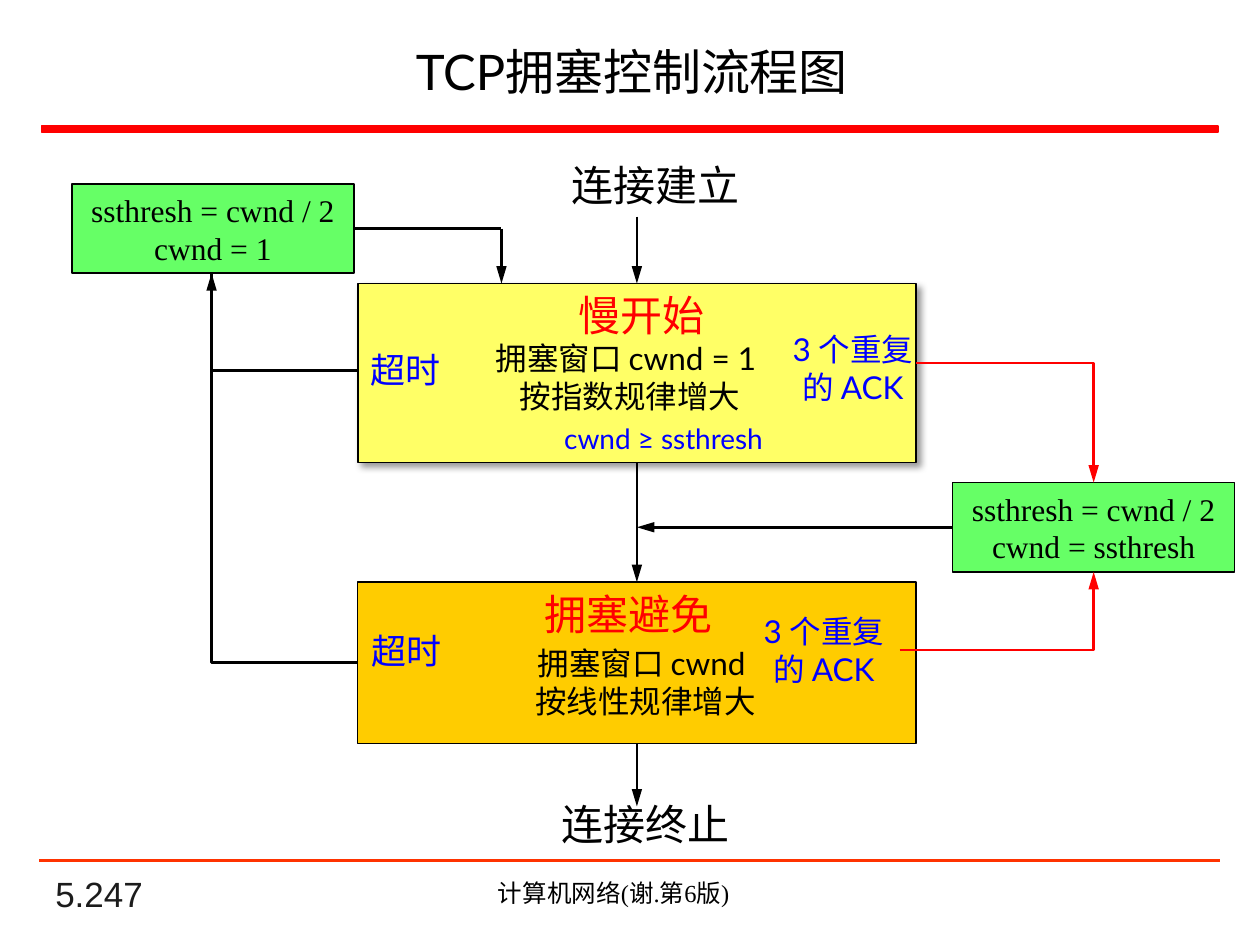
from lxml.etree import SubElement
from pptx import Presentation
from pptx.dml.color import RGBColor
from pptx.enum.shapes import MSO_CONNECTOR, MSO_SHAPE
from pptx.enum.text import MSO_ANCHOR, PP_ALIGN
from pptx.oxml.ns import qn
from pptx.util import Inches, Pt

COLS, ROWS = 100, 75
WIDE, HIGH = Inches(10), Inches(7.5)
TOP, LEFT, BASE, RIGHT = range(4)
BLACK, RED, BLUE, GREEN = "000000", "FF0000", "0000FF", "66FF66"
SANS, SERIF = "Lato", "Times New Roman"
MID = 50.55


def hue(code):
    return RGBColor.from_string(code)


def col(num):
    return round(WIDE * num / COLS)


def row(num):
    return round(HIGH * num / ROWS)


def area(x, y, w, h):
    return col(x), row(y), col(w), row(h)


def write(frame, lines, size, face=SANS, ink=BLACK, align=PP_ALIGN.CENTER):
    frame.text = "\n".join(lines)
    for para in frame.paragraphs:
        para.alignment = align
        para.font.size = Pt(size)
        para.font.name = face
        para.font.color.rgb = hue(ink)


def label(slide, place, lines, size, face=SANS, ink=BLACK,
          align=PP_ALIGN.LEFT, wrap=False, anchor=MSO_ANCHOR.TOP):
    frame = slide.shapes.add_textbox(*area(*place)).text_frame
    frame.word_wrap = wrap
    frame.vertical_anchor = anchor
    write(frame, lines, size, face, ink, align)


def box(slide, place, fill, edge=BLACK, width=1, kind=MSO_SHAPE.RECTANGLE):
    shape = slide.shapes.add_shape(kind, *area(*place))
    shape.shadow.inherit = False
    shape.fill.solid()
    shape.fill.fore_color.rgb = hue(fill)
    shape.line.color.rgb = hue(edge)
    shape.line.width = Pt(width)
    return shape


def rule(slide, place, width, lines):
    shape = box(slide, place, GREEN, width=width)
    shape.text_frame.word_wrap = True
    write(shape.text_frame, lines, 18, SERIF)
    return shape


def shade(shape):
    effect = shape._element.spPr.find(qn("a:effectLst"))
    outer = SubElement(effect, qn("a:outerShdw"), blurRad=str(Pt(4)),
                       dist=str(Pt(3)), dir="2700000", algn="tl", rotWithShape="0")
    tint = SubElement(outer, qn("a:srgbClr"), val=BLACK)
    SubElement(tint, qn("a:alpha"), val="40000")


def link(slide, start, end, ink=BLACK, head=True, bent=False):
    kind = MSO_CONNECTOR.ELBOW if bent else MSO_CONNECTOR.STRAIGHT
    line = slide.shapes.add_connector(kind, col(start[0]), row(start[1]),
                                      col(end[0]), row(end[1]))
    line.line.color.rgb = hue(ink)
    line.line.width = Pt(1.5)
    props = line._element.spPr
    if bent:
        props.find(qn("a:prstGeom")).set("prst", "bentConnector2")
    if head:
        SubElement(props.find(qn("a:ln")), qn("a:tailEnd"),
                   type="triangle", w="med", len="lg")
    SubElement(props, qn("a:effectLst"))
    return line


def frame(slide):
    title = slide.shapes.title
    title.left, title.top, title.width, title.height = area(3.9, 2.2, 92.5, 6.9)
    title.text_frame.vertical_anchor = MSO_ANCHOR.MIDDLE
    write(title.text_frame, ["TCP拥塞控制流程图"], 28)
    box(slide, (3.3, 10, 93.4, 0.5), RED, RED)
    link(slide, (3.1, 68.3), (96.8, 68.3), "FF3300", False)
    label(slide, (3.4, 69.8, 20.8, 3.3), ["5.247"], 20, "Arial", "1C1C1C",
          wrap=True, anchor=MSO_ANCHOR.BOTTOM)
    label(slide, (28.3, 69.2, 40.8, 3.4), ["计算机网络(谢.第6版)"], 14, SERIF,
          align=PP_ALIGN.CENTER, wrap=True)


def flow(slide):
    step = MSO_SHAPE.FLOWCHART_PROCESS
    slow = box(slide, (28.4, 22.5, 44.3, 14.2), "FFFF66", kind=step)
    shade(slow)
    calm = box(slide, (28.4, 46.2, 44.3, 12.8), "FFCC00", width=0.75, kind=step)
    reset = rule(slide, (5.7, 14.6, 22.4, 7.1), 1,
                 ["ssthresh = cwnd / 2", "cwnd = 1"])
    halve = rule(slide, (75.6, 38.3, 22.4, 7.1), 0.75,
                 ["ssthresh = cwnd / 2", "cwnd = ssthresh"])

    link(slide, (MID, 17.2), (MID, 22.5)).end_connect(slow, TOP)
    down = link(slide, (MID, 36.7), (MID, 46.2))
    down.begin_connect(slow, BASE)
    down.end_connect(calm, TOP)
    link(slide, (MID, 59), (MID, 64)).begin_connect(calm, BASE)
    link(slide, (75.6, 41.85), (MID, 41.85)).begin_connect(halve, LEFT)
    side = link(slide, (28.1, 18.15), (39.8, 18.15), head=False)
    side.begin_connect(reset, RIGHT)
    link(slide, (39.8, 18.15), (39.8, 22.5))

    for y, head in ((29.4, True), (52.6, False)):
        link(slide, (28.4, y), (16.8, 21.7), head=head, bent=True)
    for start, y in (((71.4, 51.6), 45.4), ((72.7, 28.8), 38.3)):
        link(slide, start, (86.8, y), RED, bent=True)


def words(slide):
    for x, y, w, text, ink in ((44.4, 12.2, 15.6, "连接建立", BLACK),
                               (43.6, 62.9, 15.6, "连接终止", BLACK),
                               (44.9, 22.5, 12.2, "慢开始", RED),
                               (42.2, 46.2, 15.6, "拥塞避免", RED)):
        label(slide, (x, y, w, 5), [text], 24, ink=ink)
    for x, y in ((28.4, 27.2), (28.5, 49.5)):
        label(slide, (x, y, 7.7, 4.4), ["超时"], 20, ink=BLUE)
    label(slide, (43.8, 33, 18, 3.7), ["cwnd ≥ ssthresh"], 16, ink=BLUE)

    acks = ["3 个重复", "的 ACK"]
    for x, y, w, lines, ink in (
            (37.5, 26.4, 25, ["拥塞窗口 cwnd = 1 ", "按指数规律增大"], BLACK),
            (40.6, 50.6, 21.3, ["拥塞窗口 cwnd ", "按线性规律增大"], BLACK),
            (61.7, 25.7, 12, acks, BLUE),
            (59.4, 48.1, 12, acks, BLUE)):
        label(slide, (x, y, w, 7.1), lines, 18, ink=ink,
              align=PP_ALIGN.CENTER, wrap=True)


def main():
    deck = Presentation()
    deck.slide_width, deck.slide_height = WIDE, HIGH
    slide = deck.slides.add_slide(deck.slide_layouts[5])
    frame(slide)
    flow(slide)
    words(slide)
    deck.save("out.pptx")


if __name__ == "__main__":
    main()
